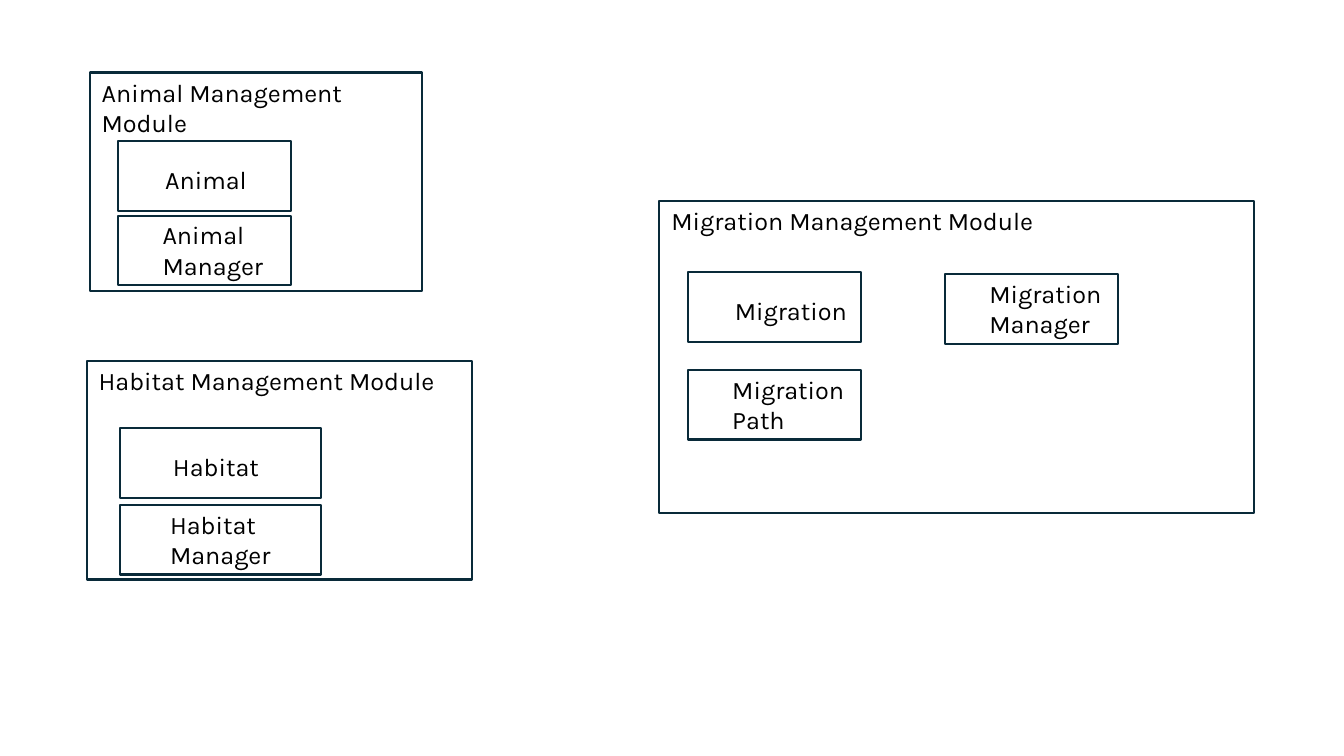
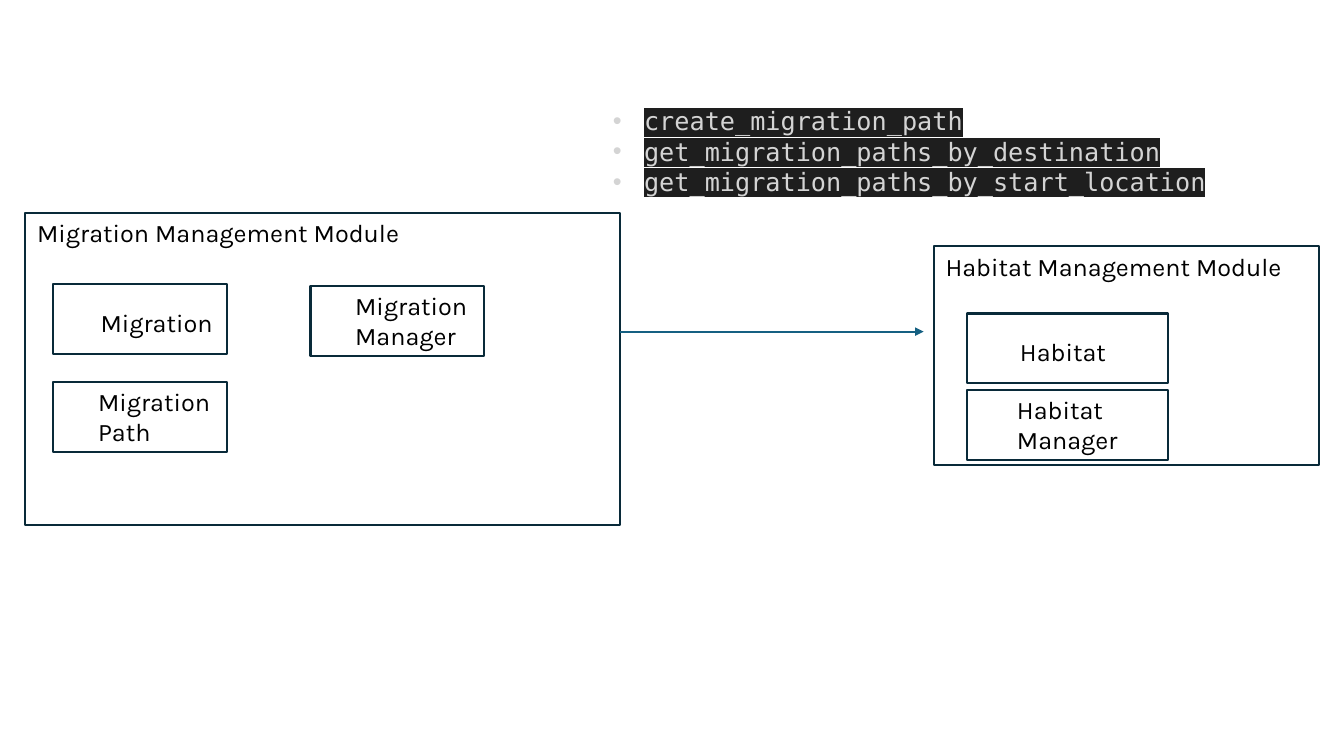
from dataclasses import dataclass

from lxml.etree import SubElement
from pptx import Presentation
from pptx.dml.color import RGBColor
from pptx.enum.shapes import MSO_CONNECTOR, MSO_SHAPE
from pptx.enum.text import MSO_ANCHOR, PP_ALIGN
from pptx.oxml import parse_xml
from pptx.oxml.ns import nsdecls, qn
from pptx.util import Inches, Pt


@dataclass(frozen=True)
class Theme:
    edge: str = "092A39"
    arrow: str = "156082"
    ink: str = "000000"
    code: str = "D4D4D4"
    mark: str = "1E1E1E"
    font: str = "Karla"
    mono: str = "DejaVu Sans Mono"
    size: float = 18
    line: float = 1.5


THEME = Theme()

MODULES = {
    "Animal": dict(
        size=(3.3, 2.17), part=(1.72, 0.69),
        parts=[("Animal", 0.28, 0.68), ("Animal Manager", 0.28, 1.42)],
    ),
    "Habitat": dict(
        size=(3.82, 2.17), part=(1.99, 0.69),
        parts=[("Habitat", 0.33, 0.67), ("Habitat Manager", 0.33, 1.43)],
    ),
    "Migration": dict(
        size=(5.9, 3.1), part=(1.72, 0.69),
        parts=[
            ("Migration", 0.28, 0.71),
            ("Migration Manager", 2.83, 0.73),
            ("Migration Path", 0.28, 1.68),
        ],
    ),
}

SLIDES = [
    dict(modules=[("Animal", 0.89, 0.72), ("Migration", 6.54, 1.99), ("Habitat", 0.86, 3.58)]),
    dict(
        modules=[("Migration", 0.25, 2.11), ("Habitat", 9.26, 2.44)],
        arrow=(6.15, 3.29, 9.16, 3.29),
        calls=[
            "create_migration_path",
            "get_migration_paths_by_destination",
            "get_migration_paths_by_start_location",
        ],
        place=(5.98, 1, 6.56, 1.31),
    ),
]

FRAME = dict(word_wrap=True, vertical_anchor=MSO_ANCHOR.TOP)


def inches(vals):
    return [Inches(val) for val in vals]


def apply(item, form):
    for name, val in form.items():
        setattr(item, name, val)


def stroke(line, hue):
    line.color.rgb = RGBColor.from_string(hue)
    line.width = Pt(THEME.line)


def add_box(shapes, *place):
    box = shapes.add_shape(MSO_SHAPE.RECTANGLE, *inches(place))
    box.shadow.inherit = False
    box.fill.background()
    stroke(box.line, THEME.edge)


def add_text(shapes, place, lines, font, hue):
    frame = shapes.add_textbox(*inches(place)).text_frame
    apply(frame, FRAME)
    frame.text = "\n".join(lines)
    for para in frame.paragraphs:
        para.alignment = PP_ALIGN.LEFT
        run = para.runs[0]
        apply(run.font, dict(name=font, size=Pt(THEME.size)))
        run.font.color.rgb = RGBColor.from_string(hue)
    return frame


def add_label(shapes, place, text):
    add_text(shapes, place, [text], THEME.font, THEME.ink)


def add_module(slide, name, left, top):
    data = MODULES[name]
    wide, high = data["size"]
    shapes = slide.shapes.add_group_shape().shapes
    add_box(shapes, left, top, wide, high)
    add_label(shapes, (left + 0.02, top, wide - 0.02, 0.4), f"{name} Management Module")
    wide, high = data["part"]
    for text, across, down in data["parts"]:
        x, y = left + across, top + down
        add_box(shapes, x, y, wide, high)
        shift, drop, tall = (0.2, -0.01, 0.71) if " " in text else (0.215, 0.18, 0.4)
        add_label(shapes, (x + shift * wide, y + drop, 0.785 * wide, tall), text)


def add_arrow(slide, ends):
    arrow = slide.shapes.add_connector(MSO_CONNECTOR.STRAIGHT, *inches(ends))
    stroke(arrow.line, THEME.arrow)
    props = arrow.element.spPr
    SubElement(props.find(qn("a:ln")), qn("a:tailEnd"), type="triangle")
    SubElement(props, qn("a:effectLst"))


def add_calls(slide, place, calls):
    frame = add_text(slide.shapes, place, calls, THEME.mono, THEME.code)
    for para in frame.paragraphs:
        props = para._p.get_or_add_pPr()
        props.set("marL", str(Inches(0.31)))
        props.set("indent", str(-Inches(0.31)))
        SubElement(props, qn("a:buFont"), typeface="Arial")
        SubElement(props, qn("a:buChar"), char="•")
        mark = parse_xml(
            f'<a:highlight {nsdecls("a")}><a:srgbClr val="{THEME.mark}"/></a:highlight>'
        )
        para.runs[0].font._element.find(qn("a:solidFill")).addnext(mark)


def main():
    deck = Presentation()
    apply(deck, dict(slide_width=Inches(13.33), slide_height=Inches(7.5)))
    for data in SLIDES:
        slide = deck.slides.add_slide(deck.slide_layouts[6])
        for name, left, top in data["modules"]:
            add_module(slide, name, left, top)
        if "arrow" in data:
            add_arrow(slide, data["arrow"])
        if "calls" in data:
            add_calls(slide, data["place"], data["calls"])
    deck.save("out.pptx")


if __name__ == "__main__":
    main()
